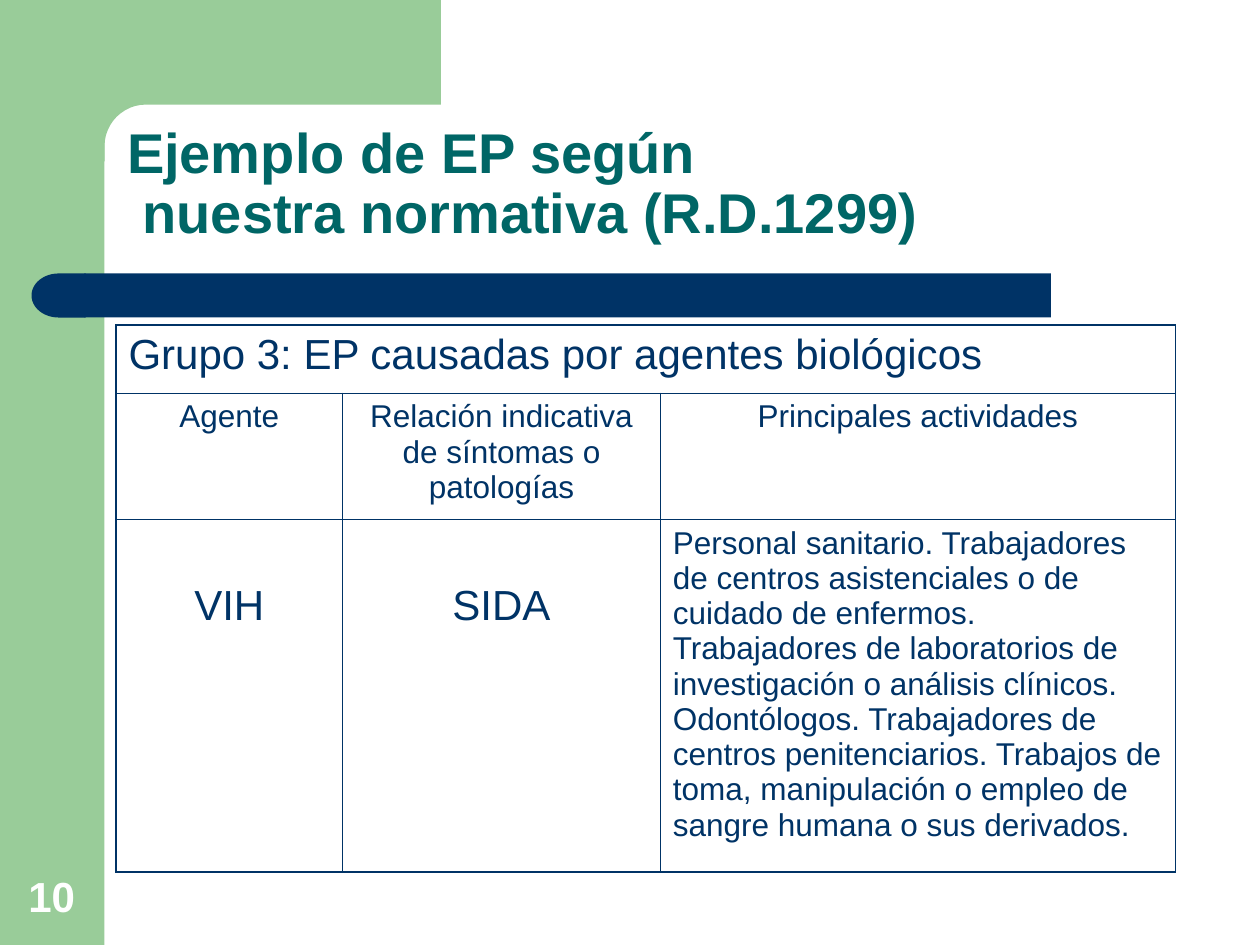
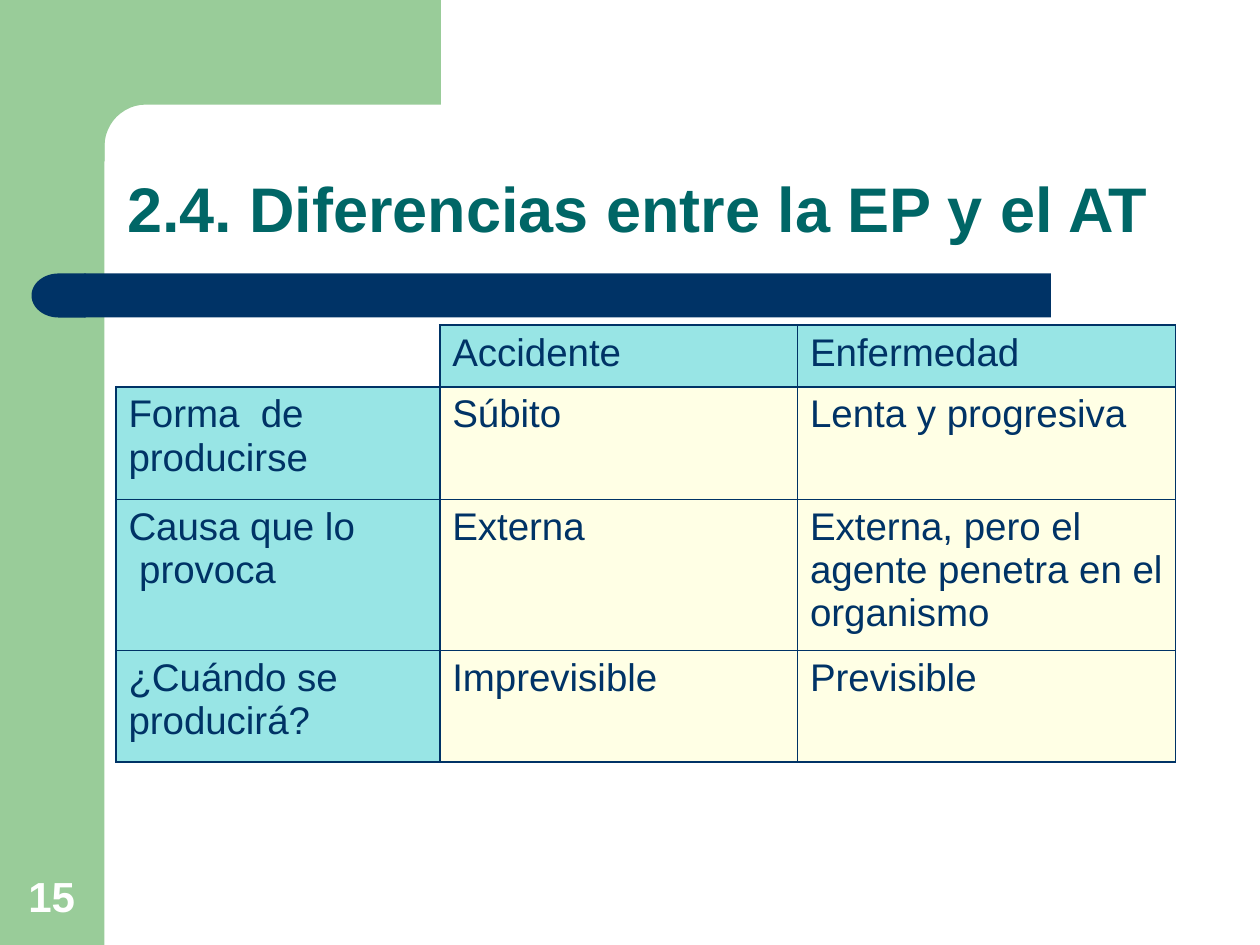
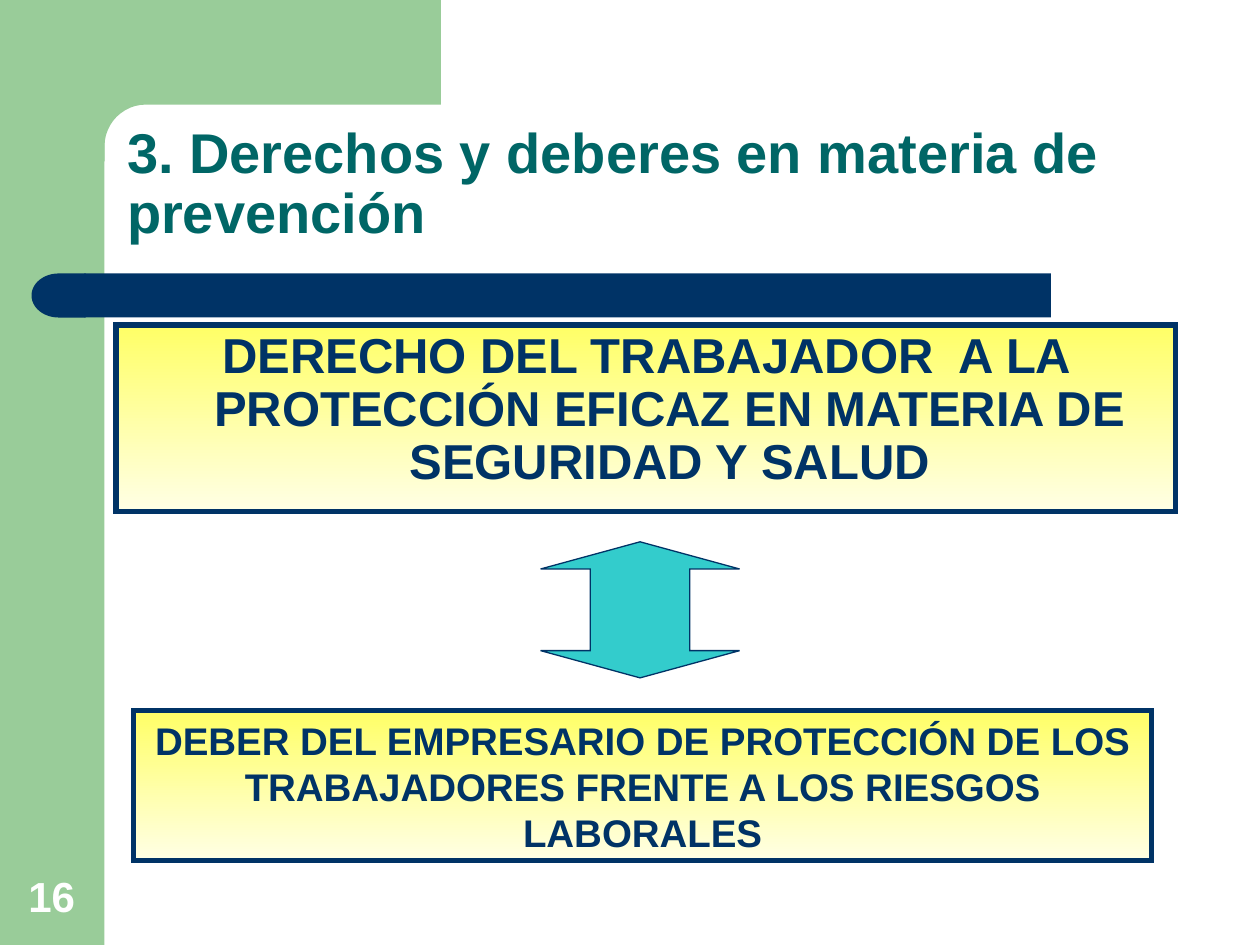
import math
from dataclasses import dataclass

import pptx
import pptx.dml.color
import pptx.enum.shapes
import pptx.enum.text
import pptx.oxml
import pptx.oxml.ns
import pptx.util

Inches = pptx.util.Inches
Pt = pptx.util.Pt
RGB = pptx.dml.color.RGBColor.from_string
SHAPES = pptx.enum.shapes.MSO_SHAPE
ANCHOR = pptx.enum.text.MSO_ANCHOR
LEFT = pptx.enum.text.PP_ALIGN.LEFT
CENTER = pptx.enum.text.PP_ALIGN.CENTER


@dataclass(frozen=True)
class Theme:
    font: str = "Arial"
    band: str = "99CC99"
    navy: str = "003366"
    title: str = "006666"
    white: str = "FFFFFF"
    turquoise: str = "33CCCC"
    cream: str = "FFFFCC"
    gradient: tuple = ("FFFF66", "FFFFE5")
    title_size: int = 32
    wide_title_size: int = 36
    number_size: int = 24
    heading_size: int = 24
    comparison_size: int = 22
    body_size: int = 18
    right_size: int = 28
    duty_size: int = 22
    heavy_rule: float = 1.08
    thin_rule: float = 0.45
    box_rule: float = 3
    arrow_rule: float = 0.75


THEME = Theme()
CONTENT_LEFT, CONTENT_TOP, CONTENT_WIDTH = 0.92, 2.58, 8.41
NO_GRID_STYLE = "{2D5ABB26-0587-4C30-8999-92F81FD0307C}"


def drawing_xml(tag, attributes="", content=""):
    namespace = pptx.oxml.ns.nsdecls("a")
    return pptx.oxml.parse_xml(f"<a:{tag} {namespace} {attributes}>{content}</a:{tag}>")


def write(frame, text, size, color=THEME.navy, bold=False, align=LEFT, spacing=None):
    frame.word_wrap = True
    frame.text = text
    for paragraph in frame.paragraphs:
        paragraph.alignment = align
        if spacing:
            paragraph.line_spacing = spacing
        for run in paragraph.runs:
            run.font.name = THEME.font
            run.font.size = Pt(size)
            run.font.bold = bold
            run.font.color.rgb = RGB(color)


def paint(shape, fill, line=None, width=0):
    shape.shadow.inherit = False
    if isinstance(fill, tuple):
        shape.fill.gradient()
        shape.fill.gradient_angle = 270
        for stop, color in zip(shape.fill.gradient_stops, fill):
            stop.color.rgb = RGB(color)
    else:
        shape.fill.solid()
        shape.fill.fore_color.rgb = RGB(fill)
    if line:
        shape.line.color.rgb = RGB(line)
        shape.line.width = Pt(width)
        shape.element.spPr.get_or_add_ln().append(drawing_xml("miter", 'lim="800000"'))
    else:
        shape.line.fill.background()


def add_block(slide, kind, box, fill, line=None, width=0):
    shape = slide.shapes.add_shape(kind, *map(Inches, box))
    paint(shape, fill, line, width)
    return shape


def add_label(slide, box, text, size, color, align=LEFT, spacing=None):
    label = slide.shapes.add_textbox(*map(Inches, box))
    label.text_frame.vertical_anchor = ANCHOR.BOTTOM
    write(label.text_frame, text, size, color, True, align, spacing)


def add_corner(slide):
    """Green top band whose inner corner is a quarter circle."""
    edge, radius, steps = 0.83, 0.33, 12
    center = edge + radius
    angles = [math.pi / 2 * step / steps for step in range(steps + 1)]
    curve = [(center - radius * math.sin(a), center - radius * math.cos(a)) for a in angles]
    outline = [(3.5, edge), *curve, (edge, 1.28), (0.5, 1.28), (0.5, 0)]
    builder = slide.shapes.build_freeform(Inches(3.5), Inches(0))
    builder.add_line_segments([(Inches(x), Inches(y)) for x, y in outline], close=True)
    paint(builder.convert_to_shape(), THEME.band)


def add_framed_slide(deck, title, number, title_size=THEME.title_size):
    slide = deck.slides.add_slide(deck.slide_layouts[6])
    add_block(slide, SHAPES.RECTANGLE, (0, 0, 0.83, 7.5), THEME.band)
    add_corner(slide)
    add_block(slide, SHAPES.RECTANGLE, (0.67, 2.17, 7.67, 0.35), THEME.navy)
    bar_cap = add_block(slide, SHAPES.FLOWCHART_DELAY, (0.25, 2.17, 0.43, 0.35), THEME.navy)
    bar_cap.rotation = 180
    add_label(slide, (0.09, 6.83, 0.64, 0.53), str(number), THEME.number_size,
              THEME.white, CENTER)
    add_label(slide, (0.91, 0.91, 8.51, 1.09), title, title_size, THEME.title, spacing=0.9)
    return slide


def add_plain_table(slide, columns, rows):
    table = slide.shapes.add_table(
        len(rows), len(columns), Inches(CONTENT_LEFT), Inches(CONTENT_TOP),
        Inches(CONTENT_WIDTH), Inches(sum(rows))).table
    table.first_row = table.horz_banding = False
    table._tbl.tblPr.find(pptx.oxml.ns.qn("a:tableStyleId")).text = NO_GRID_STYLE
    for column, width in zip(table.columns, columns):
        column.width = Inches(width)
    for row, height in zip(table.rows, rows):
        row.height = Inches(height)
    for cell in table.iter_cells():
        cell.fill.background()
    return table


def fill_half(cell, color):
    """Fill the cell with a half-transparent colour."""
    cell.fill.solid()
    cell.fill.fore_color.rgb = RGB(color)
    tint = cell._tc.tcPr.find(".//" + pptx.oxml.ns.qn("a:srgbClr"))
    tint.append(drawing_xml("alpha", 'val="50000"'))


def rule_cell(cell, widths):
    """Draw the left, right, top and bottom borders, in that order."""
    ink = f'<a:solidFill><a:srgbClr val="{THEME.navy}"/></a:solidFill>'
    for index, (side, width) in enumerate(zip("LRTB", widths)):
        border = drawing_xml(f"ln{side}", f'w="{Pt(width)}"', ink)
        cell._tc.get_or_add_tcPr().insert(index, border)


def rule_table(table, heavy_rows, heavy_columns, skip=()):
    """Rule every cell; the numbered grid lines given are heavy."""
    def weight(line, heavy):
        return THEME.heavy_rule if line in heavy else THEME.thin_rule

    for r in range(len(table.rows)):
        for c in range(len(table.columns)):
            cell = table.cell(r, c)
            if cell.is_spanned or (r, c) in skip:
                continue
            right = c + (cell.span_width if cell.is_merge_origin else 1)
            rule_cell(cell, (weight(c, heavy_columns), weight(right, heavy_columns),
                             weight(r, heavy_rows), weight(r + 1, heavy_rows)))


def add_disease_example(deck):
    slide = add_framed_slide(deck, "Ejemplo de EP según\v nuestra normativa (R.D.1299)", 10)
    table = add_plain_table(slide, (1.8, 2.52, 4.09), (0.54, 1, 2.8))
    group = table.cell(0, 0)
    group.merge(table.cell(0, 2))
    write(group.text_frame, "Grupo 3: EP causadas por agentes biológicos", THEME.heading_size)
    headings = ("Agente", "Relación indicativa de síntomas o patologías",
                "Principales actividades")
    for c, heading in enumerate(headings):
        write(table.cell(1, c).text_frame, heading, THEME.body_size, align=CENTER)
    for c, entry in enumerate(("VIH", "SIDA")):
        cell = table.cell(2, c)
        cell.margin_top = Inches(0.5)
        write(cell.text_frame, entry, THEME.heading_size, align=CENTER)
    write(table.cell(2, 2).text_frame,
          "Personal sanitario. Trabajadores de centros asistenciales o de cuidado de "
          "enfermos. Trabajadores de laboratorios de investigación o análisis clínicos. "
          "Odontólogos. Trabajadores de centros penitenciarios. Trabajos de toma, "
          "manipulación o empleo de sangre humana o sus derivados.", THEME.body_size)
    rule_table(table, heavy_rows={0, 3}, heavy_columns={0, 3})


def add_comparison(deck):
    slide = add_framed_slide(deck, "2.4. Diferencias entre la EP y el AT", 15,
                             THEME.wide_title_size)
    comparison = (
        ("", "Accidente", "Enfermedad"),
        ("Forma  de producirse", "Súbito", "Lenta y progresiva"),
        ("Causa que lo \v provoca", "Externa",
         "Externa, pero el agente penetra en el organismo"),
        ("¿Cuándo se producirá?", "Imprevisible", "Previsible"),
    )
    table = add_plain_table(slide, (2.57, 2.84, 3.0), (0.49, 0.89, 1.2, 0.89))
    for r, entries in enumerate(comparison):
        for c, entry in enumerate(entries):
            if entry:
                cell = table.cell(r, c)
                fill_half(cell, THEME.cream if r and c else THEME.turquoise)
                write(cell.text_frame, entry, THEME.comparison_size)
    rule_table(table, heavy_rows={0, 1, 4}, heavy_columns={0, 1, 3}, skip={(0, 0)})


def add_statement(slide, box, text, size, spacing=None):
    statement = add_block(slide, SHAPES.RECTANGLE, box, THEME.gradient,
                          THEME.navy, THEME.box_rule)
    statement.text_frame.vertical_anchor = ANCHOR.TOP
    write(statement.text_frame, text, size, bold=True, align=CENTER, spacing=spacing)
    return statement


def add_two_way_arrow(slide, box, stem, head):
    """Stem is a share of the width, head a share of the shorter side."""
    arrow = add_block(slide, SHAPES.UP_DOWN_ARROW, box, THEME.turquoise,
                      THEME.navy, THEME.arrow_rule)
    guides = arrow.element.spPr.find(".//" + pptx.oxml.ns.qn("a:avLst"))
    guides.clear()
    for guide, share in (("adj1", stem), ("adj2", head)):
        guides.append(drawing_xml("gd", f'name="{guide}" fmla="val {round(share * 100000)}"'))


def add_rights_and_duties(deck):
    slide = add_framed_slide(deck, "3. Derechos y deberes en materia de prevención", 16)
    right = add_statement(
        slide, (CONTENT_LEFT, CONTENT_TOP, CONTENT_WIDTH, 1.48),
        "DERECHO DEL TRABAJADOR  A LA PROTECCIÓN EFICAZ EN MATERIA DE SEGURIDAD Y SALUD",
        THEME.right_size, 0.9)
    hanging = right.text_frame.paragraphs[0]._p.get_or_add_pPr()
    hanging.set("marL", str(Inches(0.38)))
    hanging.set("indent", str(-Inches(0.38)))
    add_statement(
        slide, (1.06, 5.64, 8.08, 1.19),
        "DEBER DEL EMPRESARIO DE PROTECCIÓN DE LOS TRABAJADORES FRENTE A LOS RIESGOS "
        "LABORALES", THEME.duty_size)
    add_two_way_arrow(slide, (4.29, 4.3, 1.58, 1.08), stem=0.5, head=0.2)


def main():
    deck = pptx.Presentation()
    deck.slide_width, deck.slide_height = Inches(10), Inches(7.5)
    add_disease_example(deck)
    add_comparison(deck)
    add_rights_and_duties(deck)
    deck.save("out.pptx")


if __name__ == "__main__":
    main()
